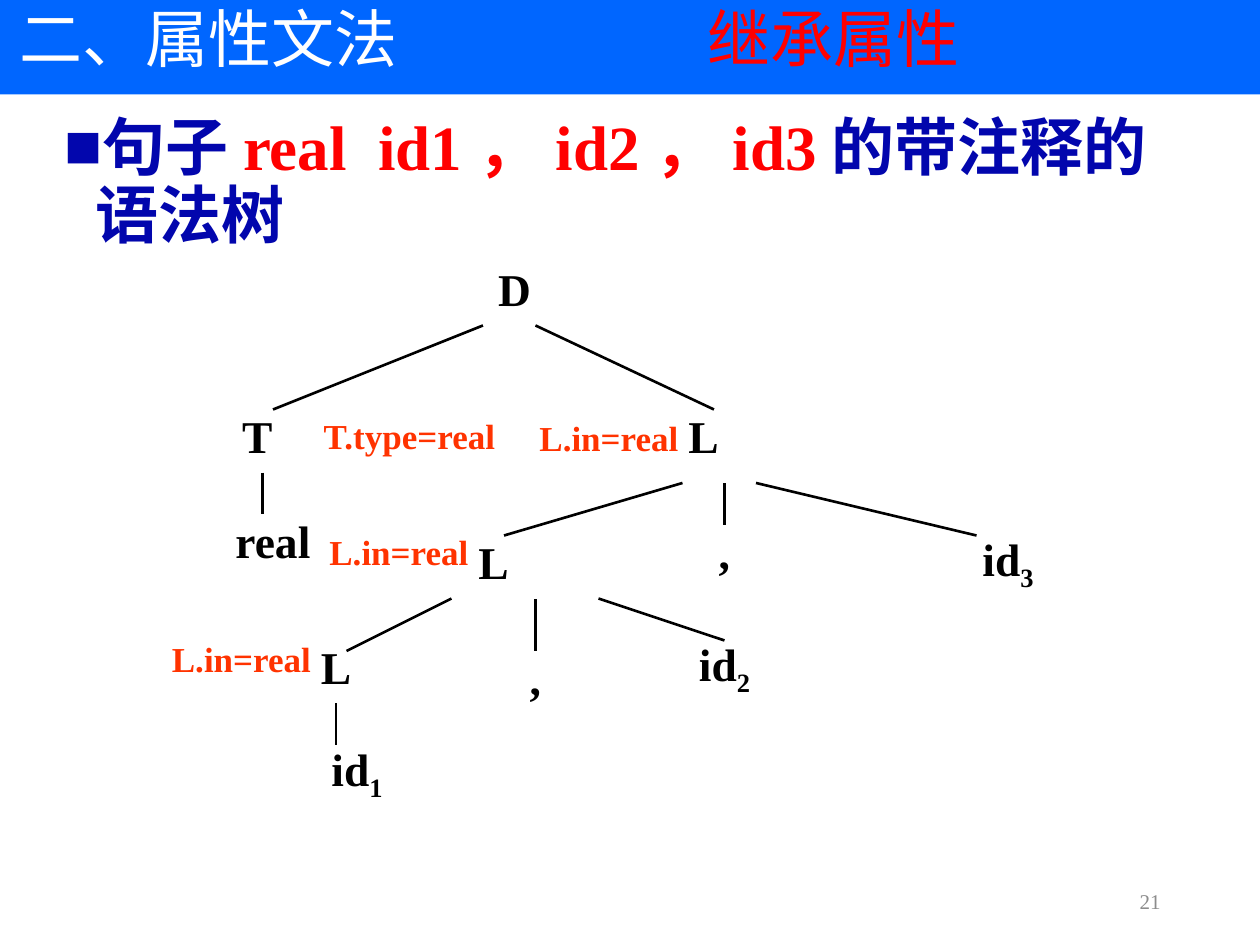
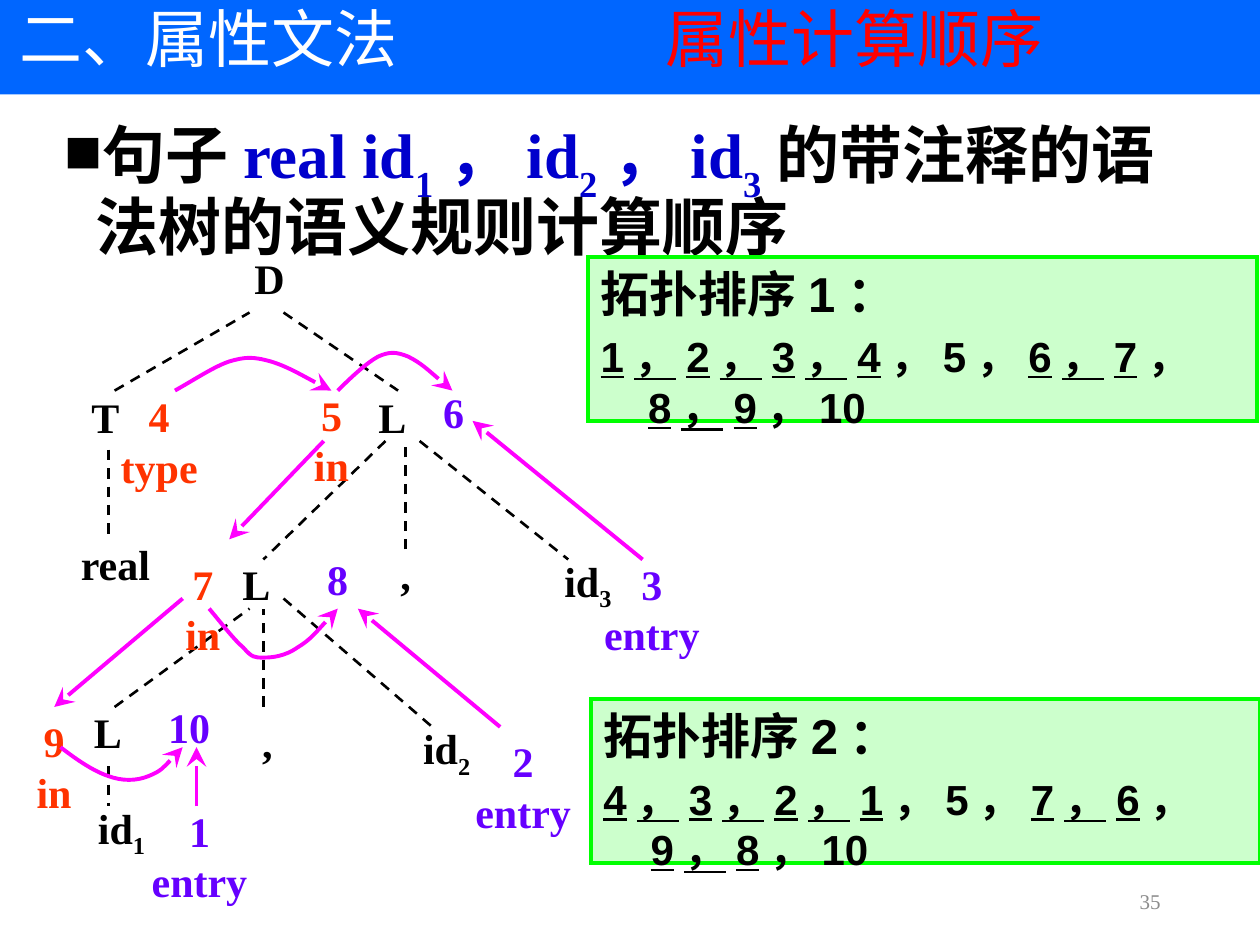
from dataclasses import dataclass

from lxml import etree
from pptx import Presentation
from pptx.dml.color import RGBColor
from pptx.enum.dml import MSO_LINE
from pptx.enum.shapes import MSO_CONNECTOR, MSO_SHAPE
from pptx.enum.text import MSO_ANCHOR, PP_ALIGN
from pptx.oxml.ns import qn
from pptx.util import Pt

STRAIGHT = MSO_CONNECTOR.STRAIGHT
RECT = MSO_SHAPE.RECTANGLE
DASH = MSO_LINE.DASH
TOP, MIDDLE = MSO_ANCHOR.TOP, MSO_ANCHOR.MIDDLE
LEFT, CENTER, RIGHT = PP_ALIGN.LEFT, PP_ALIGN.CENTER, PP_ALIGN.RIGHT


@dataclass(frozen=True)
class Theme:
    serif: str = "Times New Roman"
    sans: str = "Arial"
    band: str = "0066FF"
    white: str = "FFFFFF"
    black: str = "000000"
    red: str = "FF0000"
    navy: str = "0206AD"
    blue: str = "0000CC"
    inherited: str = "FF3300"
    synthesized: str = "6600FF"
    flow: str = "FF00FF"
    box_fill: str = "CCFFCC"
    box_line: str = "00FF00"
    number: str = "8C8C8C"
    heading: int = 36
    box_title: int = 28
    box_text: int = 24
    tree_large: int = 26
    tree: int = 24
    attribute: int = 20
    footer: int = 12
    branch_width: float = 1.5
    strong_width: float = 2.25


T = Theme()


def rgb(value):
    return RGBColor.from_string(value)


def add_run(p, text, color, baseline=0, **font):
    r = p.add_run()
    r.text = text
    for name, value in {"name": T.serif, "bold": True, **font}.items():
        setattr(r.font, name, Pt(value) if name == "size" else value)
    r.font.color.rgb = rgb(color)
    if baseline:
        r.font._element.set("baseline", str(baseline * 1000))


def add_indexed(p, text, color, baseline=-25, **font):
    """Add text in which each digit after "_" is a subscript."""
    first, *rest = text.split("_")
    add_run(p, first, color, **font)
    for part in rest:
        add_run(p, part[0], color, baseline, **font)
        if part[1:]:
            add_run(p, part[1:], color, **font)


def set_frame(sp, anchor=TOP, wrap=True):
    tf = sp.text_frame
    tf.word_wrap, tf.vertical_anchor = wrap, anchor
    return tf


def add_text(s, x, y, w, h, **frame):
    return set_frame(s.shapes.add_textbox(Pt(x), Pt(y), Pt(w), Pt(h)), **frame)


def set_line(sp, color, width, dash=None, arrow=False):
    sp.line.color.rgb = rgb(color)
    sp.line.width = Pt(width)
    if dash:
        sp.line.dash_style = dash
    ln = sp.line._get_or_add_ln()
    etree.SubElement(ln, qn("a:miter"), lim="800000")
    if arrow:
        etree.SubElement(ln, qn("a:tailEnd"), type="stealth", w="lg", len="lg")


def add_rect(s, x, y, w, h, fill):
    sp = s.shapes.add_shape(RECT, Pt(x), Pt(y), Pt(w), Pt(h))
    sp.shadow.inherit = False
    sp.fill.solid()
    sp.fill.fore_color.rgb = rgb(fill)
    sp.line.fill.background()
    return sp


def add_lines(s, ends, **style):
    for end in ends:
        sp = s.shapes.add_connector(STRAIGHT, *map(Pt, end))
        set_line(sp, **style)
        etree.SubElement(sp._element.spPr, qn("a:effectLst"))


def add_curve(s, points):
    """Draw cubic curves: a start, then two handles and an end for each."""
    points = [(Pt(x), Pt(y)) for x, y in points]
    builder = s.shapes.build_freeform(*points[0], scale=1.0)
    builder.add_line_segments(points[1:], close=False)
    sp = builder.convert_to_shape()
    sp.shadow.inherit = False
    sp.fill.background()
    set_line(sp, T.flow, T.strong_width, arrow=True)
    outline = next(sp._element.iter(qn("a:path")))
    segments = outline.findall(qn("a:lnTo"))
    for i in range(0, len(segments), 3):
        curve = etree.SubElement(outline, qn("a:cubicBezTo"))
        for segment in segments[i:i + 3]:
            curve.append(segment[0])
            outline.remove(segment)


def add_label(s, lines, x, y, w, h, color, size):
    tf = add_text(s, x, y, w, h, anchor=MIDDLE, wrap=False)
    for i, line in enumerate(lines.split("/")):
        p = tf.add_paragraph() if i else tf.paragraphs[0]
        p.alignment = CENTER
        add_indexed(p, line, color, size=size)


def add_labels(s, labels, h, color, size):
    for text, x, y, w in labels:
        add_label(s, text, x, y, w, h, color, size)


def add_base(prs, topic, topic_tab, number):
    """Start a slide with the title band and the slide number."""
    s = prs.slides.add_slide(prs.slide_layouts[6])
    add_rect(s, 0, 0, 720, 54, T.band)
    p = add_text(s, 4, 5.4, 620.6, 37.4, anchor=MIDDLE).paragraphs[0]
    p.line_spacing = 0.9
    tabs = etree.SubElement(p._p.get_or_add_pPr(), qn("a:tabLst"))
    etree.SubElement(tabs, qn("a:tab"), pos=str(Pt(topic_tab)), algn="l")
    add_run(p, "二、属性文法\t", T.white, size=T.heading, bold=False)
    add_run(p, topic, T.red, size=T.heading, bold=False)
    p = add_text(s, 508.3, 500.4, 162, 28.8, anchor=MIDDLE).paragraphs[0]
    p.alignment = RIGHT
    add_run(p, number, T.number, size=T.footer, bold=False)
    return s


def set_indent(p, hanging):
    pPr = p._p.get_or_add_pPr()
    pPr.set("marL", str(Pt(hanging)))
    pPr.set("indent", str(-Pt(hanging)))
    return pPr


def add_statement(s, sentence, rest, color, sentence_color):
    """Add the bulleted heading with a highlighted sentence in it."""
    p = add_text(s, 29.5, 62.6, 658, 437.8).paragraphs[0]
    p.line_spacing = 0.9
    pPr = set_indent(p, 18)
    etree.SubElement(pPr, qn("a:buFont"), typeface=T.serif)
    etree.SubElement(pPr, qn("a:buChar"), char="■")
    add_run(p, "句子", color, size=T.heading)
    add_indexed(p, sentence, sentence_color, baseline=-30, size=T.heading)
    add_run(p, rest, color, size=T.heading)


def add_order_box(s, x, y, title, groups):
    """Add a topological order; every second group is underlined."""
    sp = add_rect(s, x, y, 382.3, 93.6, T.box_fill)
    set_line(sp, T.box_line, T.strong_width)
    tf = set_frame(sp)
    heading, order = tf.paragraphs[0], tf.add_paragraph()
    for p in (heading, order):
        p.alignment = LEFT
        set_indent(p, 27)
    order.space_before = Pt(5)
    add_run(heading, title, T.black, name=T.sans, size=T.box_title)
    for i, group in enumerate(groups):
        add_run(order, group, T.black, name=T.sans, size=T.box_text,
                underline=i % 2 == 0)


def build_inherited(prs):
    s = add_base(prs, "继承属性", 393, "21")
    add_statement(s, "real  id1，id2，id3", "的带注释的语法树", T.navy, T.red)
    add_lines(s, [
        (156, 234, 276, 186), (306, 186, 408, 234), (150, 270, 150, 294),
        (390, 276, 288, 306), (414, 300, 414, 276), (432, 276, 558, 306),
        (198, 372, 258, 342), (306, 372, 306, 342), (342, 342, 414, 366),
        (192, 402, 192, 426),
    ], color=T.black, width=T.branch_width)
    add_labels(s, [
        ("D", 258, 144, 72),
        ("T", 66, 228, 162), ("L", 312, 228, 180),
        ("real", 66, 288, 180), ("L", 210, 300, 144),
        (",", 378, 294, 72), ("id_3", 486, 300, 180),
        ("L", 102, 360, 180), (",", 270, 366, 72), ("id_2", 324, 360, 180),
        ("id_1", 114, 420, 180),
    ], 42, T.black, T.tree_large)
    add_labels(s, [
        ("T.type=real", 138, 228, 192), ("L.in=real", 258, 229, 180),
        ("L.in=real", 138, 294, 180), ("L.in=real", 48, 355, 180),
    ], 42, T.inherited, T.attribute)


def build_order(prs):
    s = add_base(prs, "属性计算顺序", 369, "35")
    add_statement(s, "real id_1，id_2，id_3", "的带注释的语法树的语义规则计算顺序",
                  T.black, T.blue)
    add_lines(s, [
        (65.5, 223.2, 142.6, 178.6), (162, 178.6, 227.5, 223.2),
        (62, 257, 62, 308.2),
        (220.3, 252, 150.5, 319.7), (231.8, 314, 231.8, 252),
        (239.8, 252, 324.7, 319.7),
        (65.5, 404, 142.6, 347.8), (150.5, 404, 150.5, 347.8),
        (162, 342, 247, 415.4), (62, 437.8, 62, 460.8),
    ], color=T.black, width=T.branch_width, dash=DASH)
    add_labels(s, [
        ("D", 131, 139, 46),
        ("T", 8, 218.2, 104.4), ("L", 166.3, 218.2, 116),
        ("real", 8, 302.4, 116), ("L", 100, 314, 93),
        (",", 208.8, 308.2, 46), ("id_3", 278, 314, 116),
        ("L", 3.6, 398.2, 116), (",", 139, 404, 27.4),
        ("id_2", 197.3, 409.7, 116), ("id_1", 11.5, 455, 116),
    ], 39.6, T.black, T.tree)
    add_labels(s, [("4/type", 55, 218.2, 72)], 67.7, T.inherited, T.tree)
    add_labels(s, [
        ("5/in", 170, 223.2, 38.9), ("7/in", 96.5, 319.7, 38.9),
        ("9/in", 11.5, 409.7, 38.9),
    ], 56.2, T.inherited, T.tree)
    add_labels(s, [
        ("6", 239.8, 218.2, 38.9), ("8", 173.5, 314, 38.9),
        ("10", 88.6, 398.2, 38.9),
    ], 33.8, T.synthesized, T.tree)
    add_labels(s, [
        ("1/entry", 78, 455, 72), ("2/entry", 263, 415.4, 72),
        ("3/entry", 336.5, 314, 72),
    ], 67.7, T.synthesized, T.tree)
    for points in (
        [(100, 223.2), (111.6, 216.7), (122.4, 209.5), (131, 206.6),
         (140.4, 203.8), (144.7, 203.8), (154.8, 206.6),
         (164.2, 209.5), (176.4, 216.7), (189.4, 223.2)],
        [(193, 223.2), (200.9, 215.3), (209.5, 207.4), (216, 203.8),
         (222.5, 200.9), (226.1, 200.9), (233.3, 203.8),
         (240.5, 207.4), (249.1, 215.3), (258.5, 223.2)],
        [(119.5, 347.8), (126.7, 356.4), (133.9, 365.8), (139, 370),
         (144, 375.8), (145.4, 375.8), (150.5, 375.8),
         (155.5, 375.8), (162.7, 375.1), (170, 370),
         (177.1, 365.8), (185, 356.4), (193, 347.8)],
        [(34.6, 427), (43.9, 434.2), (53.3, 440.6), (61.9, 443.5),
         (69.8, 446.4), (77.8, 446.4), (85, 443.5),
         (92.2, 440.6), (97.9, 434.2), (104.4, 427)],
    ):
        add_curve(s, points)
    add_lines(s, [
        (367.2, 319.7, 270, 240.5), (185, 252, 131, 308.2),
        (285.8, 415.4, 204.5, 347.8), (104.4, 342, 31, 404),
        (112.3, 460.8, 112.3, 427),
    ], color=T.flow, width=T.strong_width, arrow=True)
    add_order_box(s, 336.2, 146.9, "拓扑排序1：",
                  ["1，2，3，4", "，5，", "6，7", "，", "8，9", "，10"])
    add_order_box(s, 337.7, 399.6, "拓扑排序2：",
                  ["4，3，2，1", "，5，", "7，6", "，", "9，8", "，10"])


def main():
    prs = Presentation()
    prs.slide_width, prs.slide_height = Pt(720), Pt(540)
    build_inherited(prs)
    build_order(prs)
    prs.save("out.pptx")


if __name__ == "__main__":
    main()
